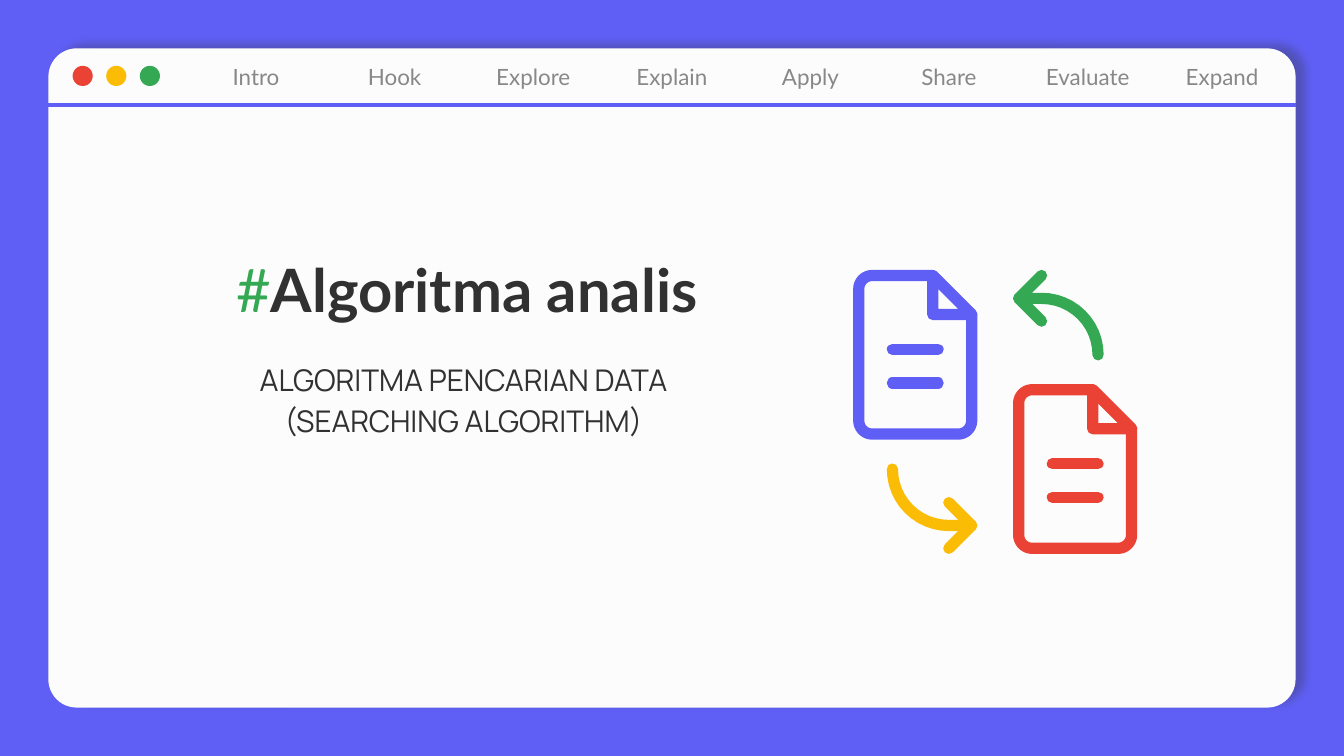
import math
from lxml import etree
from pptx import Presentation
from pptx import util as u
from pptx.dml.color import RGBColor
from pptx.enum import shapes, text
from pptx.oxml.ns import qn

BLUE, GREEN, GOLD, RED = "5F5FF5", "34A853", "FBBC05", "EA4335"
WHITE, DARK, GREY = "FCFCFC", "313131", "888888"
WIDE = 10
HIGH = WIDE * 9 / 16
EDGE = 0.36  # margin around the window
BAR = 0.42  # height of the top bar
TABS = ("Intro", "Hook", "Explore", "Explain", "Apply", "Share",
        "Evaluate", "Expand")
KIND = shapes.MSO_SHAPE


def color(code):
    return RGBColor.from_string(code)


def inches(*sizes):
    return [u.Inches(size) for size in sizes]


def paint(run, font, size, code, bold=False):
    run.font.name, run.font.size, run.font.bold = font, u.Pt(size), bold
    run.font.color.rgb = color(code)


def block(slide, kind, box, code=None):
    """Add a shape without line, and without fill if there is no code."""
    shape = slide.shapes.add_shape(kind, *inches(*box))
    shape.shadow.inherit = False
    shape.line.fill.background()
    if code:
        shape.fill.solid()
        shape.fill.fore_color.rgb = color(code)
    else:
        shape.fill.background()
    return shape


def stroke(shape, code, points, rounded=True):
    shape.line.color.rgb = color(code)
    shape.line.width = u.Pt(points)
    props = shape._element.spPr
    if rounded:
        line = props.find(qn("a:ln"))
        line.set("cap", "rnd")
        etree.SubElement(line, qn("a:round"))
    if props.find(qn("a:effectLst")) is None:
        etree.SubElement(props, qn("a:effectLst"))


def rule(slide, start, end, code, points, rounded=True):
    line = slide.shapes.add_connector(
        shapes.MSO_CONNECTOR.STRAIGHT, *inches(*start, *end))
    stroke(line, code, points, rounded)


def trace(slide, dots, code, close=False):
    """Draw an unfilled outline through the dots."""
    dots = [inches(*dot) for dot in dots]
    pen = slide.shapes.build_freeform(*dots[0], scale=1.0)
    pen.add_line_segments(dots[1:], close=close)
    shape = pen.convert_to_shape()
    shape.shadow.inherit = False
    shape.fill.background()
    stroke(shape, code, 6)


def arc(x, y, radius, start):
    """Points of a quarter turn, counter-clockwise from start degrees."""
    turns = [math.radians(start + 7.5 * step) for step in range(13)]
    return [(x + radius * math.cos(t), y - radius * math.sin(t))
            for t in turns]


def window(slide):
    panel = block(slide, KIND.ROUNDED_RECTANGLE,
                  (EDGE, EDGE, WIDE - 2 * EDGE, HIGH - 2 * EDGE), WHITE)
    panel.adjustments[0] = 0.043
    effects = panel._element.spPr.find(qn("a:effectLst"))
    shade = etree.SubElement(
        effects, qn("a:outerShdw"), blurRad=str(u.Pt(4.5)),
        dist=str(u.Pt(6)), dir=str(342 * 60000), algn="bl", rotWithShape="0")
    tint = etree.SubElement(shade, qn("a:srgbClr"), val=DARK)
    etree.SubElement(tint, qn("a:alpha"), val="30000")
    for i, code in enumerate((RED, GOLD, GREEN)):
        block(slide, KIND.OVAL, (0.54 + 0.25 * i, 0.49, 0.15, 0.15), code)


def tabs(slide):
    left = 1.39
    step = (WIDE - EDGE - left) / len(TABS)
    for i, name in enumerate(TABS):
        last = name == TABS[-1]
        kind = KIND.ROUND_1_RECTANGLE if last else KIND.ROUNDED_RECTANGLE
        tab = block(slide, kind, (left + i * step, EDGE, step, BAR))
        tab.adjustments[0] = 0.5 if last else 0.06
        frame = tab.text_frame
        setup(frame, text.MSO_ANCHOR.MIDDLE, 0.1 if last else 0)
        frame.text = name
        frame.paragraphs[0].alignment = text.PP_ALIGN.CENTER
        paint(frame.paragraphs[0].runs[0], "Lato", 12, GREY)


def setup(frame, anchor, inset):
    frame.word_wrap = True
    frame.auto_size = text.MSO_AUTO_SIZE.NONE
    frame.vertical_anchor = anchor
    frame.margin_left = frame.margin_right = u.Inches(inset)
    frame.margin_top = frame.margin_bottom = u.Inches(inset)


def place(holder, box, anchor, words, spacing):
    """Move a placeholder and fill it with centred paragraphs."""
    holder.left, holder.top, holder.width, holder.height = inches(*box)
    frame = holder.text_frame
    setup(frame, anchor, 0.1)
    frame.text = words
    for para in frame.paragraphs:
        para.alignment = text.PP_ALIGN.CENTER
        para.line_spacing = spacing
        para.space_before = u.Pt(0)
    return frame.paragraphs


def heading(slide):
    title, body = slide.placeholders
    para = place(title, (1.25, 1.6, 4.45, 0.91), text.MSO_ANCHOR.BOTTOM,
                 "#", 0.8)[0]
    para.add_run().text = "Algoritma analis"
    mark, name = para.runs
    paint(mark, "Lato", 32, GREEN)
    paint(name, "Lato", 32, DARK, True)
    lines = place(body, (1.77, 2.55, 3.36, 0.68), text.MSO_ANCHOR.TOP,
                  "ALGORITMA PENCARIAN DATA\n(SEARCHING ALGORITHM)", 1.15)
    for para in lines:
        paint(para.runs[0], "Manrope", 16, DARK)


def page(slide, x, y, code):
    """Draw a document with a folded corner."""
    wide, high, fold, curve = 0.84, 1.18, 0.29, 0.1
    right, low, crease = x + wide, y + high, x + wide - fold
    outline = [(crease, y)]
    outline += arc(x + curve, y + curve, curve, 90)
    outline += arc(x + curve, low - curve, curve, 180)
    outline += arc(right - curve, low - curve, curve, 270)
    outline += [(right, y + fold)]
    trace(slide, outline, code, True)
    trace(slide, [(crease, y), (crease, y + fold), (right, y + fold)],
          code, True)
    for drop in (0.55, 0.8):
        rule(slide, (x + 0.25, y + drop), (x + 0.59, y + drop), code, 6)


def arrow(slide, x, y, way, code):
    """Draw a bent arrow with its tip at x, y; way is its direction."""
    head, bend = 0.17, 0.42
    neck = x - way * head
    trace(slide, [(neck, y - head), (x, y), (neck, y + head)], code)
    curve = arc(neck, y - way * bend, bend, 0 if way < 0 else 180)
    trace(slide, curve + [(x, y)], code)


def main():
    deck = Presentation()
    deck.slide_width, deck.slide_height = inches(WIDE, HIGH)
    slide = deck.slides.add_slide(deck.slide_layouts[0])
    slide.background.fill.solid()
    slide.background.fill.fore_color.rgb = color(BLUE)
    window(slide)
    # The panel goes behind the placeholders.
    tree = slide.shapes._spTree
    for holder in list(slide.placeholders):
        tree.append(holder._element)
    tabs(slide)
    heading(slide)
    arrow(slide, 7.58, 2.22, -1, GREEN)
    arrow(slide, 7.23, 3.91, 1, GOLD)
    page(slide, 7.58, 2.9, RED)
    page(slide, 6.39, 2.05, BLUE)
    rule(slide, (EDGE, EDGE + BAR), (WIDE - EDGE, EDGE + BAR), BLUE, 2.25,
         False)
    deck.save("out.pptx")


if __name__ == "__main__":
    main()
